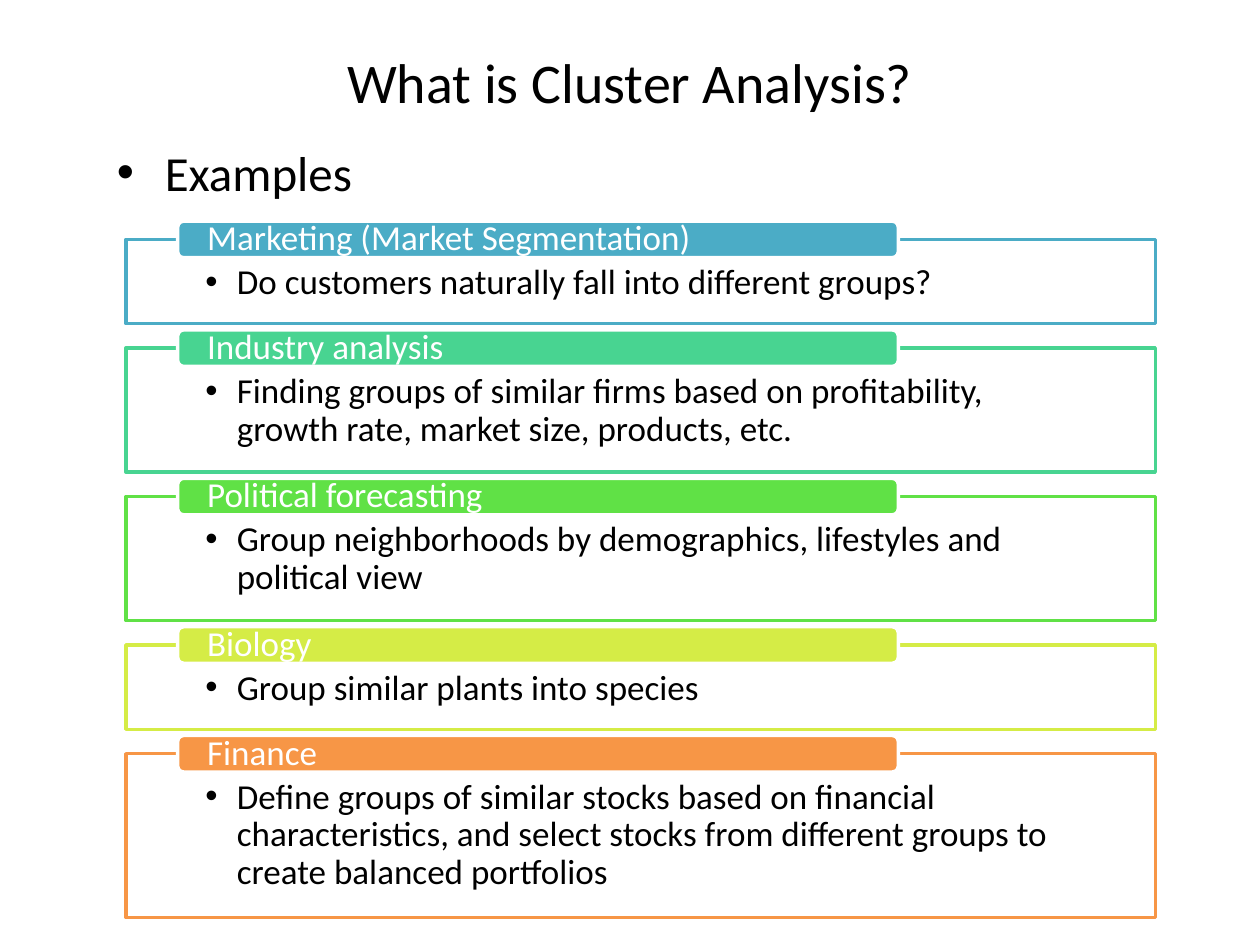
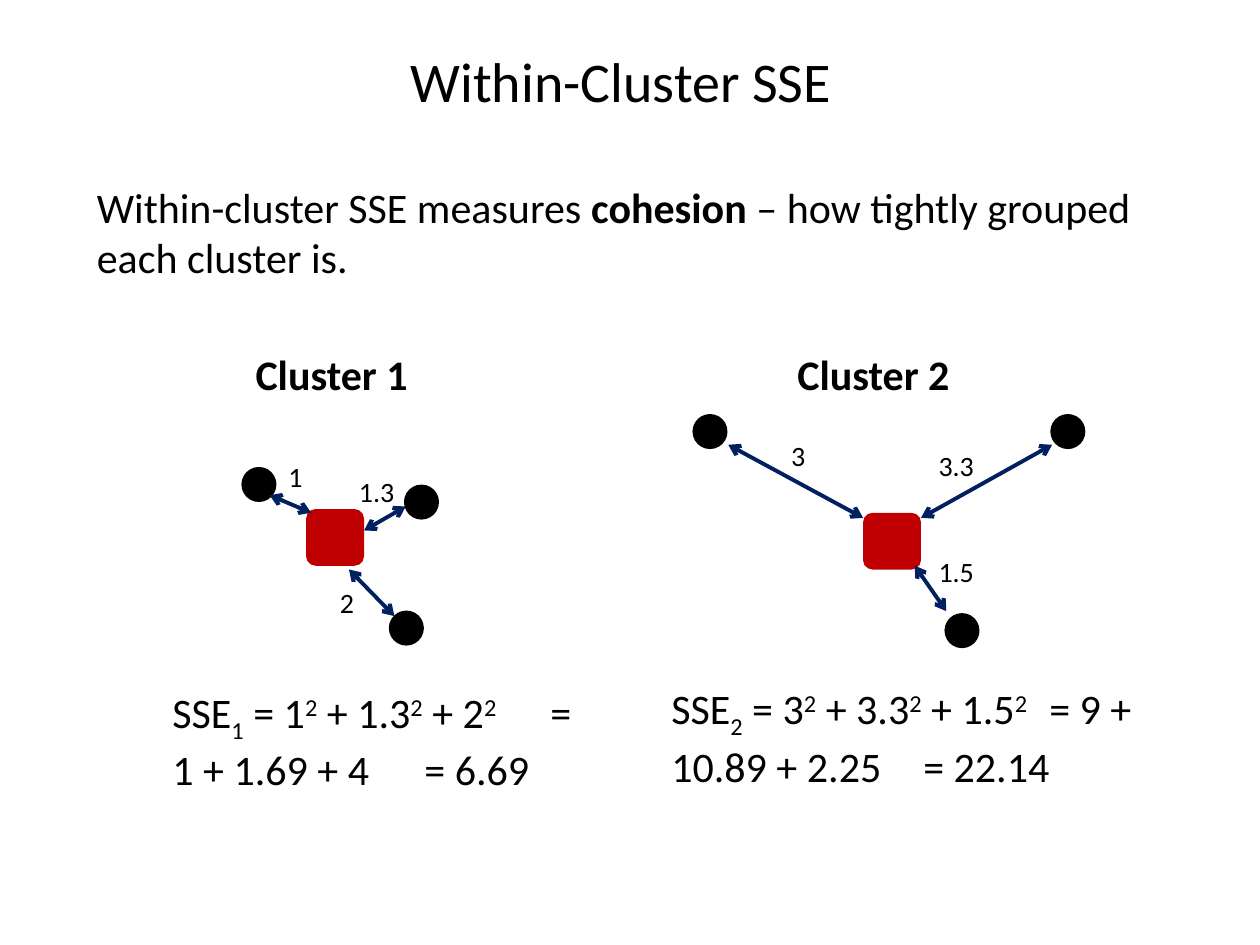
from pptx import Presentation
from pptx.dml.color import RGBColor
from pptx.enum.shapes import MSO_CONNECTOR, MSO_SHAPE
from pptx.enum.text import MSO_ANCHOR, PP_ALIGN
from pptx.oxml.ns import qn
from pptx.util import Inches, Pt
from lxml.etree import SubElement

BLACK = RGBColor(0x00, 0x00, 0x00)
WHITE = RGBColor(0xFF, 0xFF, 0xFF)
NAVY = RGBColor(0x00, 0x20, 0x60)
RED = RGBColor(0xC0, 0x00, 0x00)
TEAL = RGBColor(0x4B, 0xAC, 0xC6)
MINT = RGBColor(0x48, 0xD4, 0x91)
GREEN = RGBColor(0x60, 0xE1, 0x46)
LIME = RGBColor(0xD5, 0xEC, 0x46)
ORANGE = RGBColor(0xF7, 0x96, 0x46)

COLUMNS, ROWS = 100, 75
SUBSCRIPT, SUPERSCRIPT = -25000, 30000

# heading, colour, number of text lines, question or use
EXAMPLES = [
    ("Marketing (Market Segmentation)", TEAL, 1,
     "Do customers naturally fall into different groups?"),
    ("Industry analysis", MINT, 2,
     "Finding groups of similar firms based on profitability, "
     "growth rate, market size, products, etc."),
    ("Political forecasting", GREEN, 2,
     "Group neighborhoods by demographics, lifestyles and political view"),
    ("Biology", LIME, 1, "Group similar plants into species"),
    ("Finance", ORANGE, 3,
     "Define groups of similar stocks based on financial characteristics, "
     "and select stocks from different groups to create balanced portfolios"),
]

# Each member: distance, point corner, arrow start, arrow end, label corner
CLUSTERS = [
    {"heading": (19.3, 27.2), "centroid": (24.3, 40.4),
     "formula": (12.7, 54, 34.7, 13.1),
     "members": [
         (1, (19.3, 37.2), (24.7, 40.7), (21.4, 39.3), (21.9, 36)),
         (1.3, (32.2, 38.6), (32.2, 40.2), (28.9, 42.1), (27.5, 37.2)),
         (2, (31, 48.6), (31.3, 48.9), (27.7, 45.2), (26, 46))]},
    {"heading": (62.3, 27.2), "centroid": (68.5, 40.7),
     "formula": (52.3, 53.7, 40, 13.1),
     "members": [
         (3, (55.1, 33), (68.5, 41.1), (57.8, 35.3), (61.8, 34.3)),
         (3.3, (83.5, 33), (73.1, 41.1), (83.5, 35.3), (73.5, 35.1)),
         (1.5, (75.1, 48.8), (72.6, 44.9), (75.1, 48.5), (73.5, 43.5))]},
]


class Deck:
    """Holds the style and the current slide; lengths are grid columns and rows."""

    font = "Calibri"

    def __init__(self):
        self.presentation = Presentation()
        self.presentation.slide_width = Inches(10)
        self.presentation.slide_height = Inches(7.5)
        self.slide = None

    def across(self, columns):
        return round(self.presentation.slide_width * columns / COLUMNS)

    def down(self, rows):
        return round(self.presentation.slide_height * rows / ROWS)

    def box(self, left, top, width, height):
        return self.across(left), self.down(top), self.across(width), self.down(height)

    def title_slide(self, text, left, top):
        self.slide = self.presentation.slides.add_slide(self.presentation.slide_layouts[5])
        title = self.slide.shapes.title
        title.left, title.top, title.width, title.height = self.box(left, top, 90, 12.5)
        title.text_frame.vertical_anchor = MSO_ANCHOR.MIDDLE
        self.fill_text(title, text, 32).alignment = PP_ALIGN.CENTER

    def fill_text(self, shape, text, size, color=BLACK, bold=False):
        shape.text_frame.word_wrap = True
        shape.text_frame.text = text
        paragraph = shape.text_frame.paragraphs[0]
        paragraph.alignment = PP_ALIGN.LEFT
        for run in paragraph.runs:
            self.style(run, size, color, bold)
        return paragraph

    def style(self, run, size, color=BLACK, bold=False, baseline=0):
        run.font.name = self.font
        run.font.size = Pt(size)
        run.font.bold = bold
        run.font.color.rgb = color
        if baseline:
            run._r.get_or_add_rPr().set("baseline", str(baseline))

    def text(self, text, box, size, bold=False):
        textbox = self.slide.shapes.add_textbox(*self.box(*box))
        return self.fill_text(textbox, text, size, bold=bold)

    def rich_text(self, parts, box, size):
        """Set (text, formatting) parts as the runs of one paragraph."""
        paragraph = self.text("", box, size)
        for text, formatting in parts:
            run = paragraph.add_run()
            run.text = text
            self.style(run, size, **formatting)

    def bullet(self, paragraph, indent):
        properties = paragraph._p.get_or_add_pPr()
        properties.set("marL", str(self.across(indent)))
        properties.set("indent", str(-self.across(indent)))
        SubElement(properties, qn("a:buFont")).set("typeface", "Arial")
        SubElement(properties, qn("a:buChar")).set("char", "•")

    def shape(self, kind, box, fill, line=None):
        shape = self.slide.shapes.add_shape(kind, *self.box(*box))
        shape.shadow.inherit = False
        shape.fill.solid()
        shape.fill.fore_color.rgb = fill
        if line is None:
            shape.line.fill.background()
        else:
            shape.line.color.rgb = line
            shape.line.width = Pt(2)
        return shape

    def inset(self, shape, side, top, bottom):
        frame = shape.text_frame
        frame.margin_left = frame.margin_right = self.across(side)
        frame.margin_top, frame.margin_bottom = self.down(top), self.down(bottom)

    def example(self, top, height, heading, color, detail):
        """Draw an outlined panel with a heading tab on its upper edge."""
        panel = self.shape(MSO_SHAPE.RECTANGLE, (10, top, 81.7, height), WHITE, color)
        panel.text_frame.vertical_anchor = MSO_ANCHOR.TOP
        self.inset(panel, 6.3, 2, 1.6)
        paragraph = self.fill_text(panel, detail, 20)
        paragraph.line_spacing = 0.9
        self.bullet(paragraph, 2.5)

        tab = self.shape(MSO_SHAPE.ROUNDED_RECTANGLE, (14.1, top - 1.45, 57.2, 2.9),
                         color, WHITE)
        tab.text_frame.vertical_anchor = MSO_ANCHOR.MIDDLE
        self.inset(tab, 2.2, 0, 0)
        self.fill_text(tab, heading, 20, WHITE).line_spacing = 0.9

    def double_arrow(self, start, end):
        connector = self.slide.shapes.add_connector(
            MSO_CONNECTOR.STRAIGHT, self.across(start[0]), self.down(start[1]),
            self.across(end[0]), self.down(end[1]))
        connector.line.color.rgb = NAVY
        connector.line.width = Pt(2.25)
        line = connector.line._get_or_add_ln()
        for arrowhead in ("a:headEnd", "a:tailEnd"):
            SubElement(line, qn(arrowhead)).set("type", "arrow")
        SubElement(connector._element.spPr, qn("a:effectLst"))

    def cluster(self, number, heading, centroid, formula, members):
        self.text(f"Cluster {number}", (*heading, 17, 5), 24, bold=True)
        self.shape(MSO_SHAPE.ROUNDED_RECTANGLE, (*centroid, 4.6, 4.5), RED)
        for distance, point, start, end, label in members:
            self.shape(MSO_SHAPE.OVAL, (*point, 2.5, 2.5), BLACK, BLACK)
            self.double_arrow(start, end)
            name = f"{distance:g}"
            self.text(name, (*label, 3.3 if len(name) == 1 else 5.1, 3.7), 16)
        distances = [member[0] for member in members]
        self.rich_text(sse_parts(number, distances), formula, 24)


def sse_parts(number, distances):
    """Spell out the sum of squared distances with sub- and superscripts."""
    parts = [("SSE", {}), (str(number), {"baseline": SUBSCRIPT})]
    for position, distance in enumerate(distances):
        sign = "+" if position else "="
        parts += [(f" {sign} {distance:g}", {}), ("2", {"baseline": SUPERSCRIPT})]
    squares = [distance ** 2 for distance in distances]
    terms = " + ".join(f"{square:g}" for square in squares)
    return parts + [(f" \t= {terms} \t= {sum(squares):g}", {})]


def examples_slide(deck):
    deck.title_slide("What is Cluster Analysis?", 5, 0.2)
    paragraph = deck.text("Examples", (8.3, 10.8, 85, 64.2), 28)
    paragraph.space_before = Pt(5.6)
    deck.bullet(paragraph, 3.8)
    top = 19
    for heading, color, lines, detail in EXAMPLES:
        height = 6.7 + 3.15 * (lines - 1)
        deck.example(top, height, heading, color, detail)
        top += height + 1.93


def sse_slide(deck):
    deck.title_slide("Within-Cluster SSE", 4.3, 0.1)
    deck.rich_text([("Within-cluster SSE measures ", {}),
                    ("cohesion ", {"bold": True}),
                    ("– how tightly grouped each cluster is.", {})],
                   (6.7, 13.9, 85.8, 9.1), 24)
    for number, cluster in enumerate(CLUSTERS, start=1):
        deck.cluster(number, **cluster)


def main():
    deck = Deck()
    examples_slide(deck)
    sse_slide(deck)
    deck.presentation.save("out.pptx")


if __name__ == "__main__":
    main()
